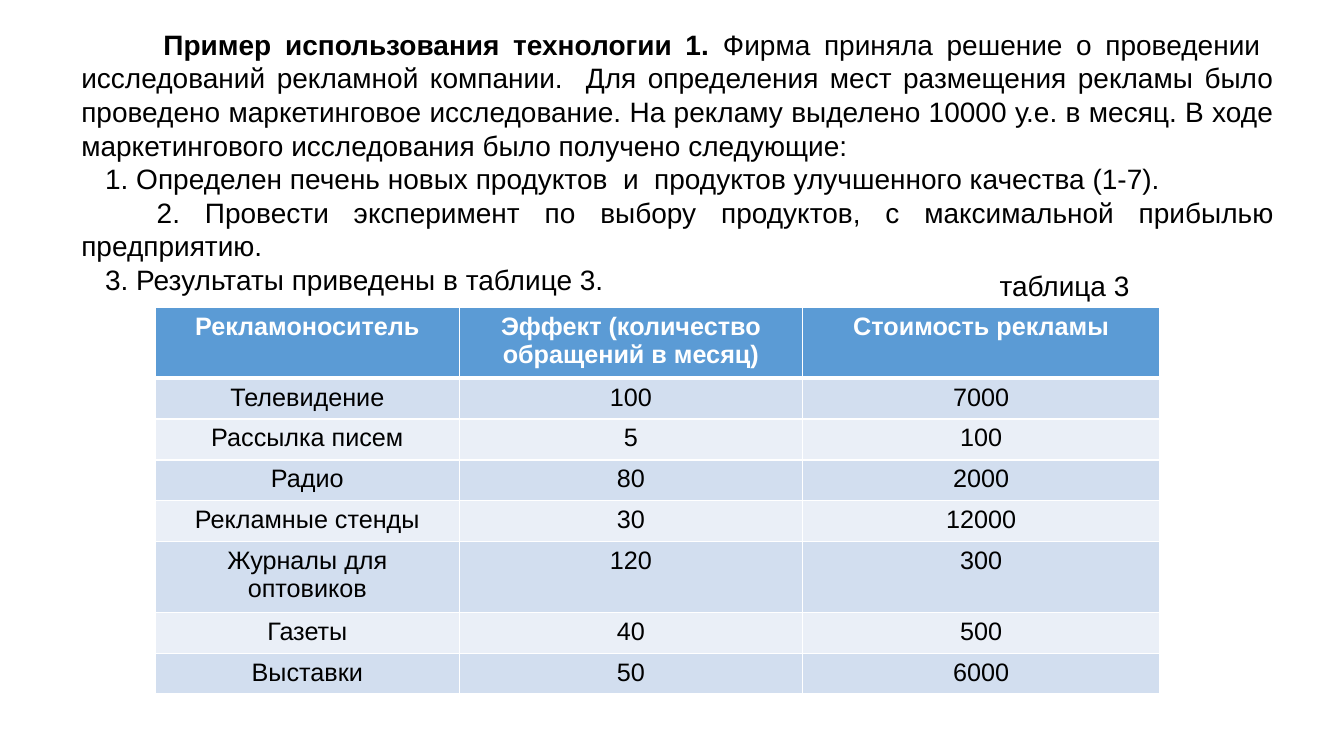
from lxml.etree import SubElement
from pptx import Presentation
from pptx.dml.color import RGBColor
from pptx.enum.text import PP_ALIGN
from pptx.oxml.ns import qn
from pptx.util import Cm, Pt

FONT = "Arial"
BLACK, WHITE = "000000", "FFFFFF"
HEADER_FILL = "5B9BD5"
BAND_FILLS = ["EAEFF7", "D2DEEF"]

TITLE = "Пример использования технологии 1. "
# Each paragraph: first-line indent in cm, text
PARAGRAPHS = [
    (2.07, TITLE + "Фирма приняла решение о проведении  исследований рекламной "
     "компании.  Для определения мест размещения рекламы было проведено "
     "маркетинговое исследование. На рекламу выделено 10000 у.е. в месяц. "
     "В ходе маркетингового исследования было получено следующие:"),
    (0.6, "1. Определен печень новых продуктов  и  продуктов улучшенного качества (1-7)."),
    (1.9, "2. Провести эксперимент по выбору продуктов, с максимальной прибылью предприятию."),
    (0.6, "3. Результаты приведены в таблице 3."),
]

COLUMN_WIDTHS = [7.65, 8.66, 8.99]
ROW_HEIGHT, TALL_ROW_HEIGHT = 1.03, 1.77
TALL_ROWS = (0, 5)
ROWS = [
    ("Рекламоноситель", "Эффект (количество обращений в месяц)", "Стоимость рекламы"),
    ("Телевидение", "100", "7000"),
    ("Рассылка писем", "5", "100"),
    ("Радио", "80", "2000"),
    ("Рекламные стенды", "30", "12000"),
    ("Журналы для оптовиков", "120", "300"),
    ("Газеты", "40", "500"),
    ("Выставки", "50", "6000"),
]


def color(value):
    return RGBColor.from_string(value)


def format_span(span, size, fill=BLACK, bold=False):
    span.font.name = FONT
    span.font.size = Pt(size)
    span.font.bold = bold
    span.font.color.rgb = color(fill)


def add_box(page, left, top, width, height, wrap):
    box = page.shapes.add_textbox(Cm(left), Cm(top), Cm(width), Cm(height))
    box.text_frame.word_wrap = wrap
    return box.text_frame


def add_description(page):
    frame = add_box(page, 1.8, 0.56, 30.56, 6.25, wrap=True)
    frame.text = "\n".join(text for _, text in PARAGRAPHS)
    for para, (indent, _) in zip(frame.paragraphs, PARAGRAPHS):
        para.alignment = PP_ALIGN.JUSTIFY
        para._p.get_or_add_pPr().set("indent", str(Cm(indent)))
        format_span(para.runs[0], 20)

    # The opening words are a bold run of their own
    opening = frame.paragraphs[0]
    body = opening.runs[0]
    body.text = body.text.removeprefix(TITLE)
    heading = opening.add_run()
    heading.text = TITLE
    format_span(heading, 20, bold=True)
    body._r.addprevious(heading._r)


def add_caption(page):
    frame = add_box(page, 24.94, 6.63, 3.81, 1.12, wrap=False)
    frame.text = "таблица 3"
    format_span(frame.paragraphs[0].runs[0], 20)


def set_borders(cell, bottom_width):
    properties = cell._tc.get_or_add_tcPr()
    for side, width in (("L", 1), ("R", 1), ("T", 1), ("B", bottom_width)):
        line = SubElement(properties, qn(f"a:ln{side}"), w=str(Pt(width)))
        fill = SubElement(line, qn("a:solidFill"))
        SubElement(fill, qn("a:srgbClr"), val=WHITE)


def format_cell(cell, text, row):
    header = row == 0
    set_borders(cell, 3 if header else 1)
    cell.fill.solid()
    cell.fill.fore_color.rgb = color(HEADER_FILL if header else BAND_FILLS[row % 2])
    cell.text_frame.text = text
    para = cell.text_frame.paragraphs[0]
    para.alignment = PP_ALIGN.CENTER
    format_span(para.runs[0], 18, WHITE if header else BLACK, bold=header)


def add_advertising_table(page):
    heights = [TALL_ROW_HEIGHT if row in TALL_ROWS else ROW_HEIGHT
               for row in range(len(ROWS))]
    table = page.shapes.add_table(
        len(ROWS), len(COLUMN_WIDTHS), Cm(3.92), Cm(7.75),
        Cm(sum(COLUMN_WIDTHS)), Cm(sum(heights))).table
    for column, width in zip(table.columns, COLUMN_WIDTHS):
        column.width = Cm(width)
    for row, (height, texts) in enumerate(zip(heights, ROWS)):
        table.rows[row].height = Cm(height)
        for column, text in enumerate(texts):
            format_cell(table.cell(row, column), text, row)


def main():
    deck = Presentation()
    deck.slide_width, deck.slide_height = Cm(33.87), Cm(19.05)
    page = deck.slides.add_slide(deck.slide_layouts[6])
    add_description(page)
    add_caption(page)
    add_advertising_table(page)
    deck.save("out.pptx")


if __name__ == "__main__":
    main()
